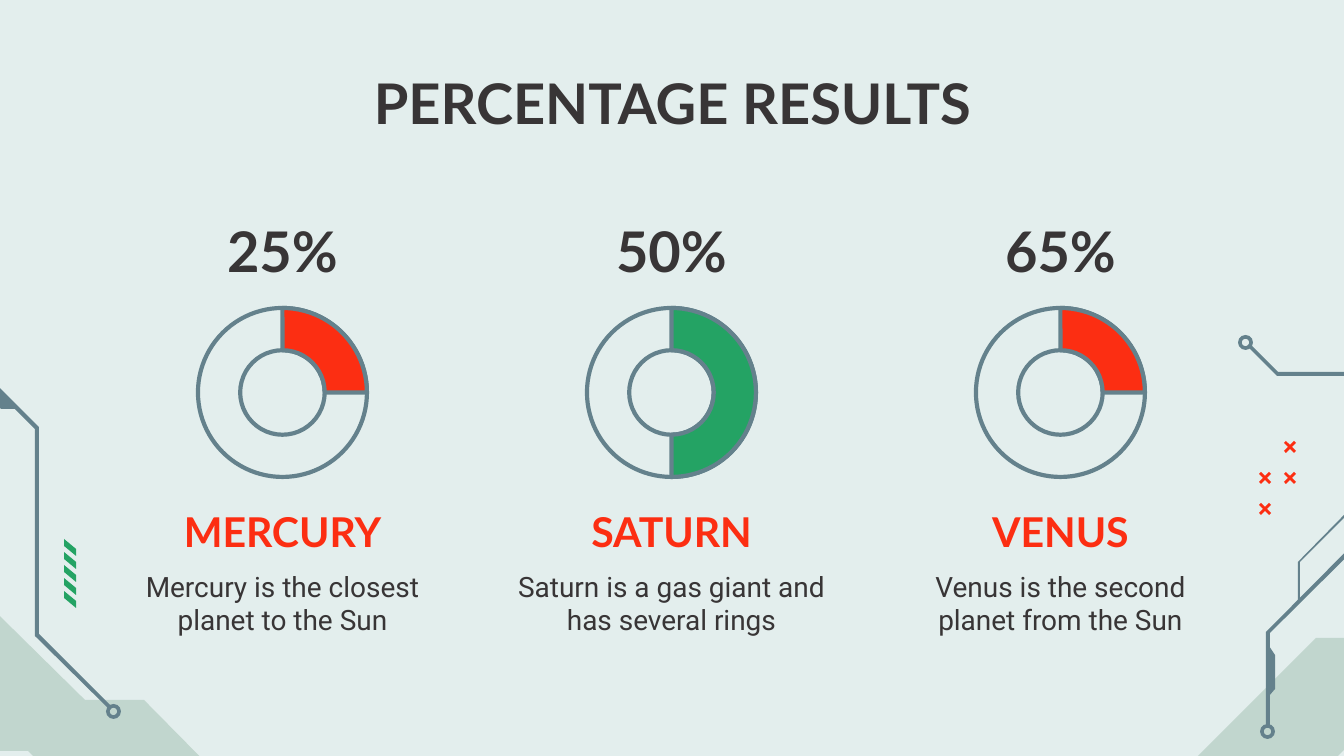
from dataclasses import dataclass

import pptx
import pptx.dml.color
import pptx.enum.shapes
import pptx.enum.text
import pptx.util
from pptx.shapes.autoshape import Shape
from pptx.slide import Slide

SCALE = 914400 / 134.4
COLORS = {
    "background": "E3EEED",
    "hill": "C1D6CE",
    "circuit": "64818C",
    "green": "24A364",
    "red": "FC2E12",
    "ink": "383536",
}
COLUMN_LEFT, COLUMN_STEP, COLUMN_WIDTH = 114, 389, 337
RING_TOP, RING_SIZE = 308, 169
NODE_SIZE = 15
STRIPE_TOP, STRIPE_STEP, STRIPE_COUNT = 539, 13, 5

Point = tuple[int, int]


@dataclass(frozen=True)
class Outline:
    color: str
    points: list[Point]


@dataclass(frozen=True)
class Planet:
    name: str
    percent: str
    description: str
    share: float
    color: str


OUTLINES = [
    Outline("hill", [(-51, 566), (85, 700), (144, 700), (220, 777), (220, 812), (269, 860),
                     (137, 860), (28, 751), (-13, 751), (-93, 672), (-93, 650), (-177, 566)]),
    Outline("circuit", [(-220, 246), (-220, 331), (-63, 331), (35, 429), (35, 636), (110, 710),
                        (112, 707), (39, 634), (39, 427), (-60, 328), (-218, 328), (-218, 246)]),
    Outline("circuit", [(-40, 351), (-40, 367), (-19, 387), (1, 409), (17, 409), (-11, 379)]),
    Outline("hill", [(1456, 566), (1383, 638), (1316, 638), (1168, 786),
                     (1306, 788), (1349, 745), (1365, 745), (1543, 566)]),
    Outline("circuit", [(1269, 646), (1275, 655), (1275, 689), (1269, 696)]),
    Outline("circuit", [(1595, 380), (1598, 383), (1492, 489), (1492, 491), (1413, 491), (1270, 633),
                        (1270, 726), (1266, 726), (1266, 632), (1410, 487), (1489, 487)]),
    Outline("circuit", [(1387, 512), (1387, 514), (1348, 514), (1300, 562),
                        (1300, 601), (1298, 601), (1298, 562), (1347, 512)]),
    Outline("circuit", [(1251, 345), (1249, 348), (1277, 376), (1457, 376),
                        (1502, 421), (1504, 418), (1458, 372), (1278, 372)]),
]
NODES = [(106, 704), (1260, 724), (1238, 335)]
CROSSES = [(1265, 478), (1265, 509), (1290, 447), (1290, 478)]
CROSS_STROKE = [(6, 4), (-4, -6), (-6, -4), (4, 6)]
PLANETS = [
    Planet("MERCURY", "25%", "Mercury is the closest planet to the Sun", 0.25, "red"),
    Planet("SATURN", "50%", "Saturn is a gas giant and has several rings", 0.5, "green"),
    Planet("VENUS", "65%", "Venus is the second planet from the Sun", 0.25, "red"),
]


def px(length: int) -> pptx.util.Emu:
    return pptx.util.Emu(round(length * SCALE))


def rgb(name: str) -> pptx.dml.color.RGBColor:
    return pptx.dml.color.RGBColor.from_string(COLORS[name])


def paint(shape: Shape, fill: str, line: str | None = None) -> None:
    shape.shadow.inherit = False
    shape.fill.solid()
    shape.fill.fore_color.rgb = rgb(fill)
    if line is None:
        shape.line.fill.background()
    else:
        shape.line.color.rgb = rgb(line)
        shape.line.width = pptx.util.Pt(2.25)


def draw_outline(page: Slide, outline: Outline) -> None:
    builder = page.shapes.build_freeform(*outline.points[0], scale=SCALE)
    builder.add_line_segments(outline.points[1:], close=True)
    paint(builder.convert_to_shape(), outline.color)


def draw_round(page: Slide, kind: pptx.enum.shapes.MSO_SHAPE, left: int, top: int, size: int,
               adjustments: list[float], fill: str, line: str | None = None) -> None:
    shape = page.shapes.add_shape(kind, px(left), px(top), px(size), px(size))
    for index, value in enumerate(adjustments):
        shape.adjustments[index] = value
    paint(shape, fill, line)


def place(box: Shape, left: int, top: int, width: int, height: int) -> None:
    box.left, box.top, box.width, box.height = px(left), px(top), px(width), px(height)


def write(box: Shape, text: str, *, size: int, font: str = "Lato", color: str = "ink",
          bold: bool = True, anchor: str = "MIDDLE") -> None:
    frame = box.text_frame
    frame.auto_size = pptx.enum.text.MSO_AUTO_SIZE.NONE
    frame.word_wrap = True
    frame.vertical_anchor = pptx.enum.text.MSO_ANCHOR[anchor]
    frame.margin_left = frame.margin_right = frame.margin_top = frame.margin_bottom = px(13)
    para = frame.paragraphs[0]
    para.alignment = pptx.enum.text.PP_ALIGN.CENTER
    span = para.add_run()
    span.text = text
    span.font.name = font
    span.font.size = pptx.util.Pt(size)
    span.font.bold = bold
    span.font.color.rgb = rgb(color)


def add_label(page: Slide, left: int, top: int, height: int, text: str, **style) -> None:
    box = page.shapes.add_textbox(px(left), px(top), px(COLUMN_WIDTH), px(height))
    write(box, text, **style)


def draw_decoration(page: Slide) -> None:
    for outline in OUTLINES:
        draw_outline(page, outline)
    for left, top in NODES:
        draw_round(page, pptx.enum.shapes.MSO_SHAPE.DONUT, left, top, NODE_SIZE, [0.25], "circuit")
    for index in range(STRIPE_COUNT):
        top = STRIPE_TOP + index * STRIPE_STEP
        draw_outline(page, Outline("green", [(64, top + 7), (76, top + 17), (76, top + 10), (64, top)]))
    for center_x, center_y in CROSSES:
        for mirror in (1, -1):
            points = [(center_x + mirror * x, center_y + y) for x, y in CROSS_STROKE]
            draw_outline(page, Outline("red", points))


def draw_planet(page: Slide, planet: Planet, left: int) -> None:
    kinds = pptx.enum.shapes.MSO_SHAPE
    ring_left = left + (COLUMN_WIDTH - RING_SIZE) // 2
    end_angle = (270 + 360 * planet.share) % 360
    add_label(page, left, 211, 78, planet.percent, size=30)
    draw_round(page, kinds.DONUT, ring_left, RING_TOP, RING_SIZE, [0.25], "background", "circuit")
    draw_round(page, kinds.BLOCK_ARC, ring_left, RING_TOP, RING_SIZE,
               [270 * 0.6, end_angle * 0.6, 0.25], planet.color, "circuit")
    add_label(page, left, 504, 55, planet.name, size=22, color="red")
    add_label(page, left, 552, 102, planet.description, size=15, font="Roboto", bold=False)


def main() -> None:
    deck = pptx.Presentation()
    deck.slide_width, deck.slide_height = px(1344), px(756)
    page = deck.slides.add_slide(deck.slide_layouts.get_by_name("Title Only"))
    page.background.fill.solid()
    page.background.fill.fore_color.rgb = rgb("background")
    draw_decoration(page)
    title = page.shapes.title
    place(title, 106, 56, 1133, 87)
    write(title, "PERCENTAGE RESULTS", size=30, anchor="TOP")
    for index, planet in enumerate(PLANETS):
        draw_planet(page, planet, COLUMN_LEFT + index * COLUMN_STEP)
    deck.save("out.pptx")


if __name__ == "__main__":
    main()
